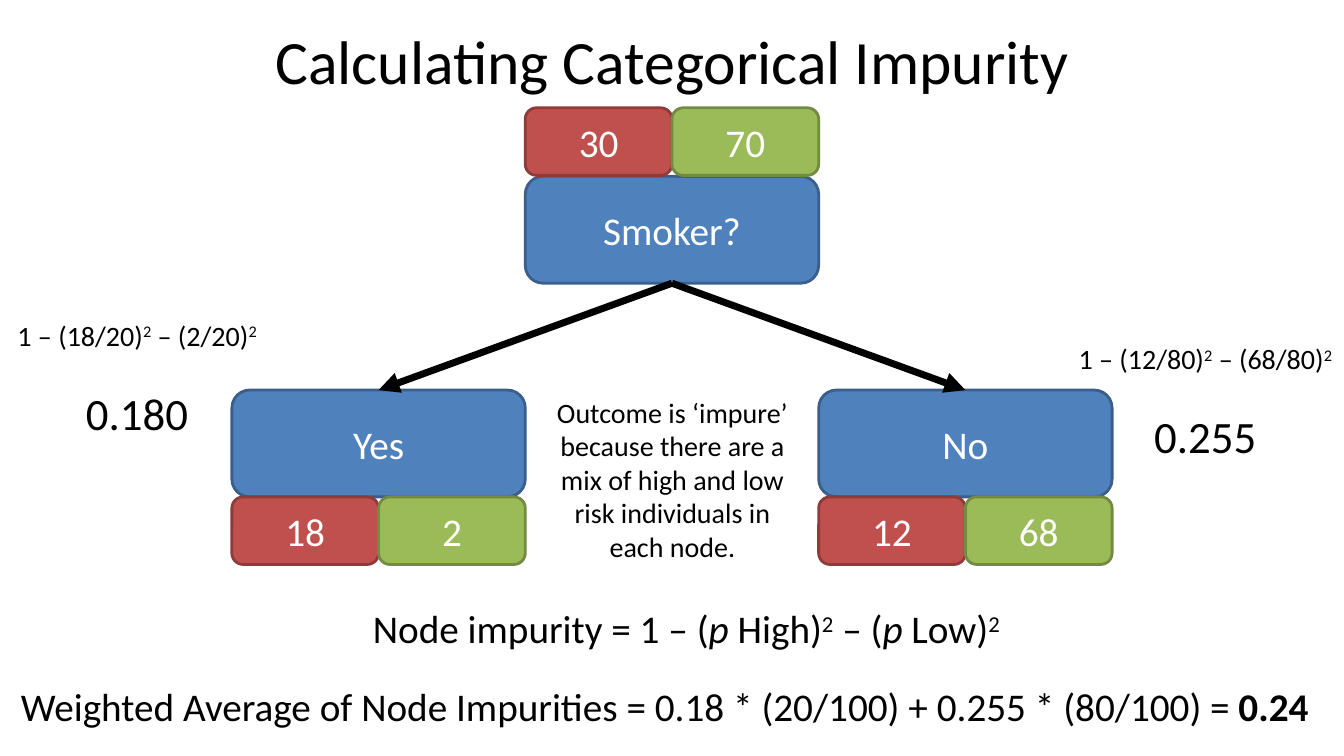
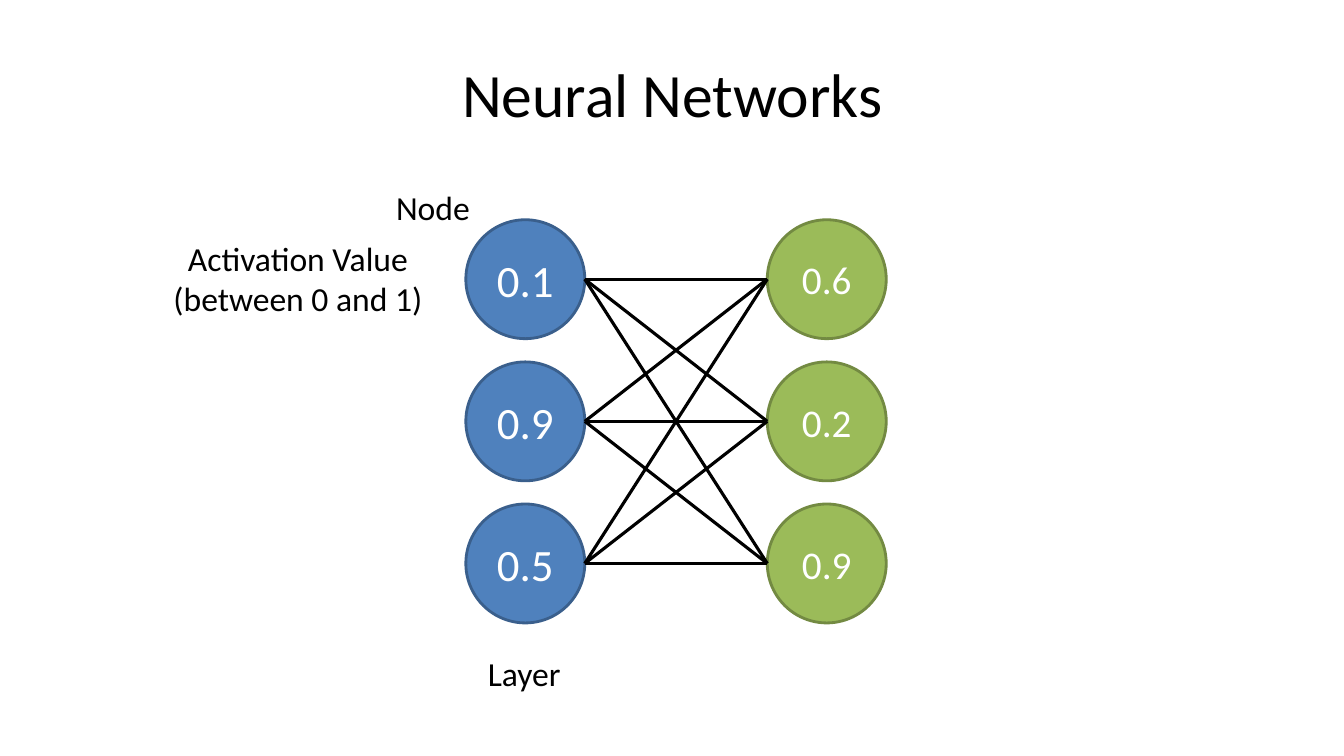
from dataclasses import dataclass
from itertools import product

from lxml.etree import SubElement
from pptx import Presentation
from pptx.dml.color import RGBColor
from pptx.enum.shapes import MSO_CONNECTOR, MSO_SHAPE
from pptx.enum.text import MSO_ANCHOR, MSO_AUTO_SIZE, PP_ALIGN
from pptx.oxml.ns import qn
from pptx.util import Inches, Pt


@dataclass(frozen=True)
class Theme:
    font: str = "Calibri"
    black: str = "000000"
    white: str = "FFFFFF"
    blue: tuple = ("4F81BD", "3A5F8C")
    red: tuple = ("C0504D", "8E3B39")
    green: tuple = ("9BBB59", "738A42")
    title: int = 44
    large: int = 32
    body: int = 28
    label: int = 24
    small: int = 20


theme = Theme()


def write(frame, text, size, color=theme.black, align=PP_ALIGN.CENTER, before=0):
    paragraph = frame.add_paragraph() if frame.text else frame.paragraphs[0]
    paragraph.alignment = align
    paragraph.space_before = Pt(before)
    runs = [(text, "")] if isinstance(text, str) else text
    for words, style in runs:
        run = paragraph.add_run()
        run.text = words
        run.font.name = theme.font
        run.font.size = Pt(size)
        run.font.color.rgb = RGBColor.from_string(color)
        run.font.bold = style == "bold"
        run.font.italic = style == "italic"
        if style == "super":
            run.font._element.set("baseline", "30000")


def add_node(slide, kind, box, text, colors, size=theme.body):
    node = slide.shapes.add_shape(kind, *map(Inches, box))
    node.shadow.inherit = False
    fill, outline = colors
    node.fill.solid()
    node.fill.fore_color.rgb = RGBColor.from_string(fill)
    node.line.color.rgb = RGBColor.from_string(outline)
    node.line.width = Pt(2)
    node.text_frame.vertical_anchor = MSO_ANCHOR.MIDDLE
    write(node.text_frame, text, size, color=theme.white)
    return node


deck = Presentation()
deck.slide_width, deck.slide_height = Inches(13.33), Inches(7.5)

slides = []
for heading, top in [("Calculating Categorical Impurity", -0.03), ("Neural Networks", 0.3)]:
    slide = deck.slides.add_slide(deck.slide_layouts[5])
    title = slide.shapes.title
    title.left, title.top, title.width, title.height = map(Inches, (0.67, top, 12, 1.25))
    title.text_frame.vertical_anchor = MSO_ANCHOR.MIDDLE
    write(title.text_frame, heading, theme.title)
    slides.append(slide)
impurity, network = slides

node_width, node_height, count_height = 2.91, 1.06, 0.67
count_width = node_width / 2
tree = [
    ("Smoker?", 5.21, 1.75, 1.07, ("30", "70")),
    ("Yes", 2.3, 3.87, 4.93, ("18", "2")),
    ("No", 8.12, 3.87, 4.93, ("12", "68")),
]
branches = []
for name, left, top, count_top, counts in tree:
    box = (left, top, node_width, node_height)
    branches.append(add_node(impurity, MSO_SHAPE.ROUNDED_RECTANGLE, box, name, theme.blue))
    for column, (count, colors) in enumerate(zip(counts, (theme.red, theme.green))):
        box = (left + column * count_width, count_top, count_width, count_height)
        add_node(impurity, MSO_SHAPE.ROUNDED_RECTANGLE, box, count, colors)

diameter, pitch = 1.18, 1.41
layers = []
for left, colors, size, activations in [
    (4.62, theme.blue, theme.large, ("0.1", "0.9", "0.5")),
    (7.61, theme.green, theme.body, ("0.6", "0.2", "0.9")),
]:
    layers.append([
        add_node(network, MSO_SHAPE.OVAL, (left, 2.18 + row * pitch, diameter, diameter),
                 activation, colors, size)
        for row, activation in enumerate(activations)
    ])

links = []
root, *leaves = branches
for leaf in leaves:
    arrow = impurity.shapes.add_connector(MSO_CONNECTOR.STRAIGHT, 0, 0, 0, 0)
    arrow.begin_connect(root, 2)
    arrow.end_connect(leaf, 0)
    links.append((arrow, 5, True))
for source, target in product(*layers):
    weight = network.shapes.add_connector(
        MSO_CONNECTOR.STRAIGHT,
        source.left + source.width, source.top + source.height // 2,
        target.left, target.top + target.height // 2,
    )
    links.append((weight, 2.25, False))
for link, width, arrowhead in links:
    link.line.color.rgb = RGBColor.from_string(theme.black)
    link.line.width = Pt(width)
    properties = link._element.spPr
    if arrowhead:
        SubElement(properties.find(qn("a:ln")), qn("a:tailEnd"), type="triangle")
    SubElement(properties, qn("a:effectLst"))

purpose = "Outcome is ‘impure’ because there are a mix of high and low risk individuals in each node."
formula = [
    ("Node impurity = 1 – (", ""), ("p ", "italic"), ("High)", ""), ("2", "super"),
    (" – (", ""), ("p", "italic"), (" Low)", ""), ("2", "super"),
]
average = [
    ("Weighted Average of Node Impurities = 0.18 * (20/100) + 0.255 * (80/100) = ", ""),
    ("0.24", "bold"),
]
labels = [
    (impurity, (5.35, 3.87, 2.64, 1.78), True, PP_ALIGN.CENTER, [(purpose, theme.small, 0)]),
    (impurity, (3.6, 5.95, 6.62, 0.57), False, PP_ALIGN.LEFT, [(formula, theme.body, 0)]),
    (impurity, (0.11, 6.72, 13.23, 0.57), False, PP_ALIGN.LEFT, [(average, theme.body, 0)]),
    (network, (3.83, 1.81, 0.94, 0.5), False, PP_ALIGN.LEFT, [("Node", theme.label, 0)]),
    (network, (4.74, 6.43, 0.93, 0.5), False, PP_ALIGN.LEFT, [("Layer", theme.label, 0)]),
    (network, (1.61, 2.31, 2.69, 0.91), False, PP_ALIGN.CENTER,
     [("Activation Value", theme.label, 0), ("(between 0 and 1)", theme.label, 0)]),
]
for box, high, low, result in [
    ((0.02, 3.11, 2.68, 1.2), "18/20", "2/20", "0.180"),
    ((10.54, 3.34, 2.83, 1.2), "12/80", "68/80", "0.255"),
]:
    working = [(f"1 – ({high})", ""), ("2", "super"), (f" – ({low})", ""), ("2", "super")]
    labels.append((impurity, box, False, PP_ALIGN.CENTER,
                   [(working, theme.small, 0), (result, theme.large, 24)]))

for slide, box, wrap, align, lines in labels:
    frame = slide.shapes.add_textbox(*map(Inches, box)).text_frame
    frame.word_wrap = wrap
    frame.auto_size = MSO_AUTO_SIZE.SHAPE_TO_FIT_TEXT
    for text, size, before in lines:
        write(frame, text, size, align=align, before=before)

deck.save("out.pptx")
